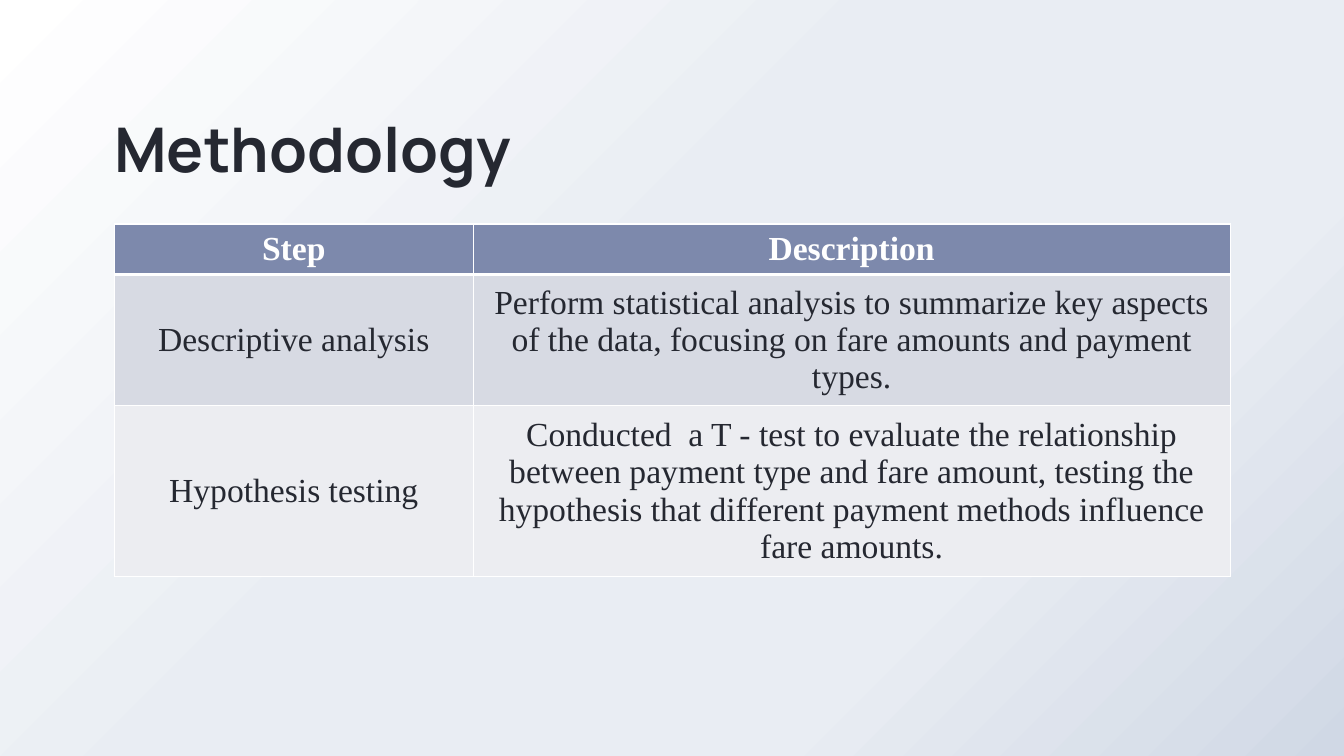
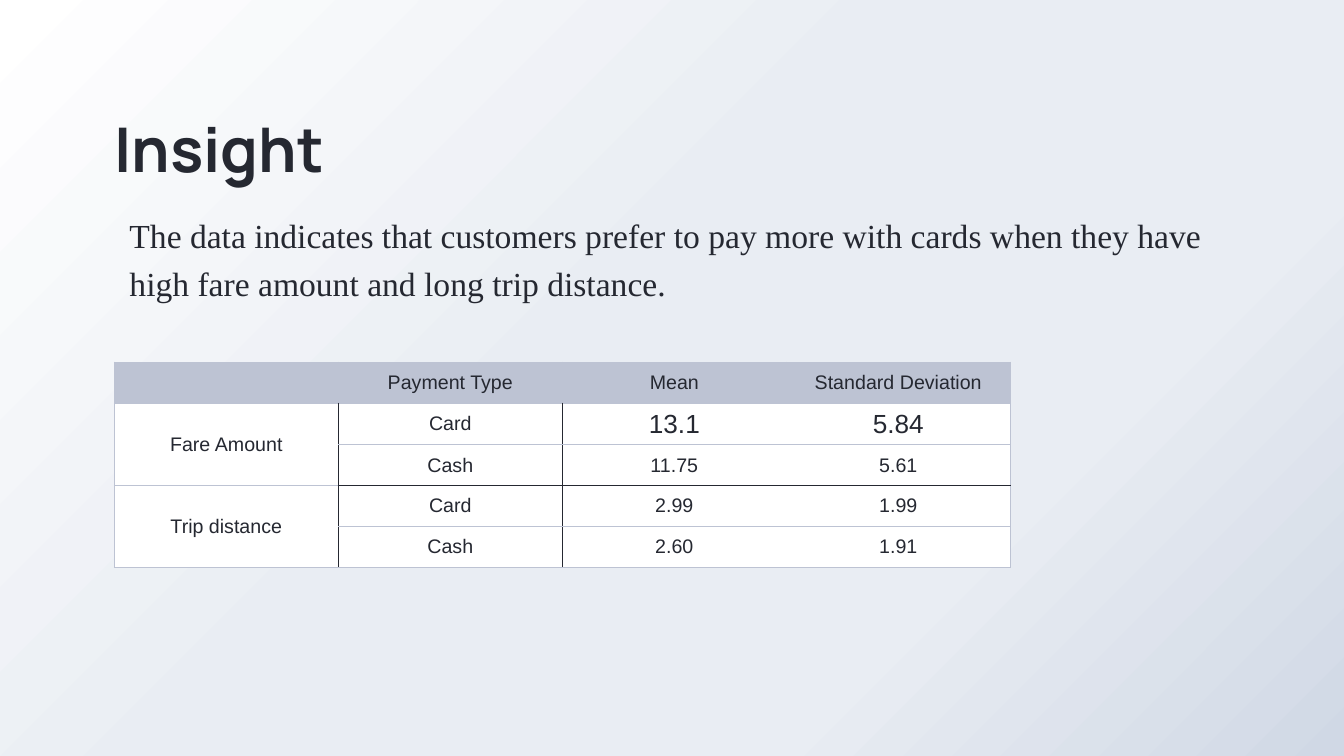
from dataclasses import dataclass

from lxml.etree import SubElement
from pptx import Presentation
from pptx.dml.color import RGBColor
from pptx.enum.text import MSO_ANCHOR, PP_ALIGN
from pptx.oxml.ns import qn
from pptx.util import Pt


@dataclass(frozen=True)
class Theme:
    ink: str = "252831"
    white: str = "FFFFFF"
    header: str = "7D89AC"
    band_dark: str = "D7DAE3"
    band_light: str = "ECEDF1"
    soft: str = "BDC3D3"
    backdrop: tuple = ((0, "FFFFFF"), (44, "E9EDF3"), (72, "E9EDF3"), (100, "D0D8E5"))
    title_font: str = "Manrope"
    body_font: str = "Times New Roman"
    data_font: str = "Arial"
    title_size: float = 44
    body_size: float = 24
    data_size: float = 14
    large_data_size: float = 18.7


THEME = Theme()
LEFT = 81.7
CONTENT_WIDTH = 797


def style_para(para, font, size, color, bold=False):
    for span in para.runs:
        span.font.name = font
        span.font.size = Pt(size)
        span.font.bold = bold
        span.font.color.rgb = RGBColor.from_string(color)


def set_borders(cell, edges):
    """Draw (color, width) edges in the order left, right, top, bottom; None hides one."""
    properties = cell._tc.get_or_add_tcPr()
    for index, (side, edge) in enumerate(zip("LRTB", edges)):
        line = SubElement(properties, qn(f"a:ln{side}"))
        properties.insert(index, line)
        if edge is None:
            SubElement(line, qn("a:noFill"))
            continue
        color, width = edge
        line.set("w", str(Pt(width)))
        fill = SubElement(line, qn("a:solidFill"))
        SubElement(fill, qn("a:srgbClr")).set("val", color)


class SlideBuilder:
    def __init__(self, theme):
        self.theme = theme
        self.deck = Presentation()
        self.deck.slide_width = Pt(960)
        self.deck.slide_height = Pt(540)
        self.page = None

    def add_page(self, title):
        self.page = self.deck.slides.add_slide(self.deck.slide_layouts[6])
        self.paint_backdrop()
        para = self.add_text(title, (LEFT, 42, 376.5, 90), MSO_ANCHOR.BOTTOM)
        style_para(para, self.theme.title_font, self.theme.title_size, self.theme.ink, bold=True)

    def paint_backdrop(self):
        fill = self.page.background.fill
        fill.gradient()
        fill.gradient_angle = 315
        stops = self.page.element.find(".//" + qn("a:gsLst"))
        for stop in list(stops):
            stops.remove(stop)
        for percent, color in self.theme.backdrop:
            stop = SubElement(stops, qn("a:gs"))
            stop.set("pos", str(percent * 1000))
            SubElement(stop, qn("a:srgbClr")).set("val", color)

    def add_text(self, text, place, anchor=MSO_ANCHOR.TOP):
        """Add a text box without margins and return its paragraph."""
        box = self.page.shapes.add_textbox(*map(Pt, place))
        frame = box.text_frame
        frame.word_wrap = True
        frame.vertical_anchor = anchor
        frame.margin_left = frame.margin_right = frame.margin_top = frame.margin_bottom = 0
        frame.text = text
        return frame.paragraphs[0]

    def add_body(self, text, place):
        para = self.add_text(text, place)
        para.line_spacing = 1.2
        para.space_before = Pt(8)
        para._p.get_or_add_pPr().set("marL", str(Pt(10.8)))
        style_para(para, self.theme.body_font, self.theme.body_size, self.theme.ink)

    def add_table(self, rows, top, widths, row_height, look, vertical, horizontal):
        """Build a table; look(row, column) gives fill and text style, the last two give edges."""
        place = map(Pt, (LEFT, top, sum(widths), row_height * len(rows)))
        table = self.page.shapes.add_table(len(rows), len(widths), *place).table
        for column, width in zip(table.columns, widths):
            column.width = Pt(width)
        for r, row in enumerate(rows):
            for c, text in enumerate(row):
                cell = table.cell(r, c)
                fill, text_style = look(r, c)
                cell.fill.solid()
                cell.fill.fore_color.rgb = RGBColor.from_string(fill)
                cell.vertical_anchor = MSO_ANCHOR.MIDDLE
                cell.text_frame.text = text
                para = cell.text_frame.paragraphs[0]
                para.alignment = PP_ALIGN.CENTER
                style_para(para, *text_style)
                set_borders(cell, (vertical(r, c), vertical(r, c + 1),
                                   horizontal(r, c), horizontal(r + 1, c)))
        return table


def add_methodology(slides):
    theme = slides.theme
    rows = [
        ("Step", "Description"),
        ("Descriptive analysis",
         "Perform statistical analysis to summarize key aspects of the data, "
         "focusing on fare amounts and payment types."),
        ("Hypothesis testing",
         "Conducted  a T - test to evaluate the relationship between payment type and "
         "fare amount, testing the hypothesis that different payment methods influence "
         "fare amounts."),
    ]
    fills = (theme.header, theme.band_dark, theme.band_light)

    def look(row, column):
        color = theme.ink if row else theme.white
        return fills[row], (theme.body_font, theme.body_size, color, row == 0)

    def vertical(row, line):
        return theme.white, 1

    def horizontal(line, column):
        return theme.white, 3 if line == 1 else 1

    slides.add_page("Methodology")
    slides.add_table(rows, 160, (256.3, 540.7), 29.2, look, vertical, horizontal)


def add_insight(slides):
    theme = slides.theme
    rows = [
        ("", "Payment Type", "Mean", "Standard Deviation"),
        ("Fare Amount", "Card", "13.1", "5.84"),
        ("", "Cash", "11.75", "5.61"),
        ("Trip distance", "Card", "2.99", "1.99"),
        ("", "Cash", "2.60", "1.91"),
    ]
    soft, dark = (theme.soft, 1), (theme.ink, 1)

    def look(row, column):
        size = theme.large_data_size if row == 1 and column >= 2 else theme.data_size
        return theme.white if row else theme.soft, (theme.data_font, size, theme.ink)

    def vertical(row, line):
        if row == 0:
            return soft
        return (soft, dark, dark, None, soft)[line]

    def horizontal(line, column):
        return dark if line == 3 and column > 0 else soft

    slides.add_page("Insight")
    slides.add_body(
        "The data indicates that customers prefer to pay more with cards when they have "
        "high fare amount and long trip distance.", (LEFT, 147.6, CONTENT_WIDTH, 308))
    table = slides.add_table(rows, 258.8, [160] * 4, 29.2, look, vertical, horizontal)
    for first in (1, 3):
        table.cell(first, 0).merge(table.cell(first + 1, 0))


def main():
    slides = SlideBuilder(THEME)
    add_methodology(slides)
    add_insight(slides)
    slides.deck.save("out.pptx")


if __name__ == "__main__":
    main()
